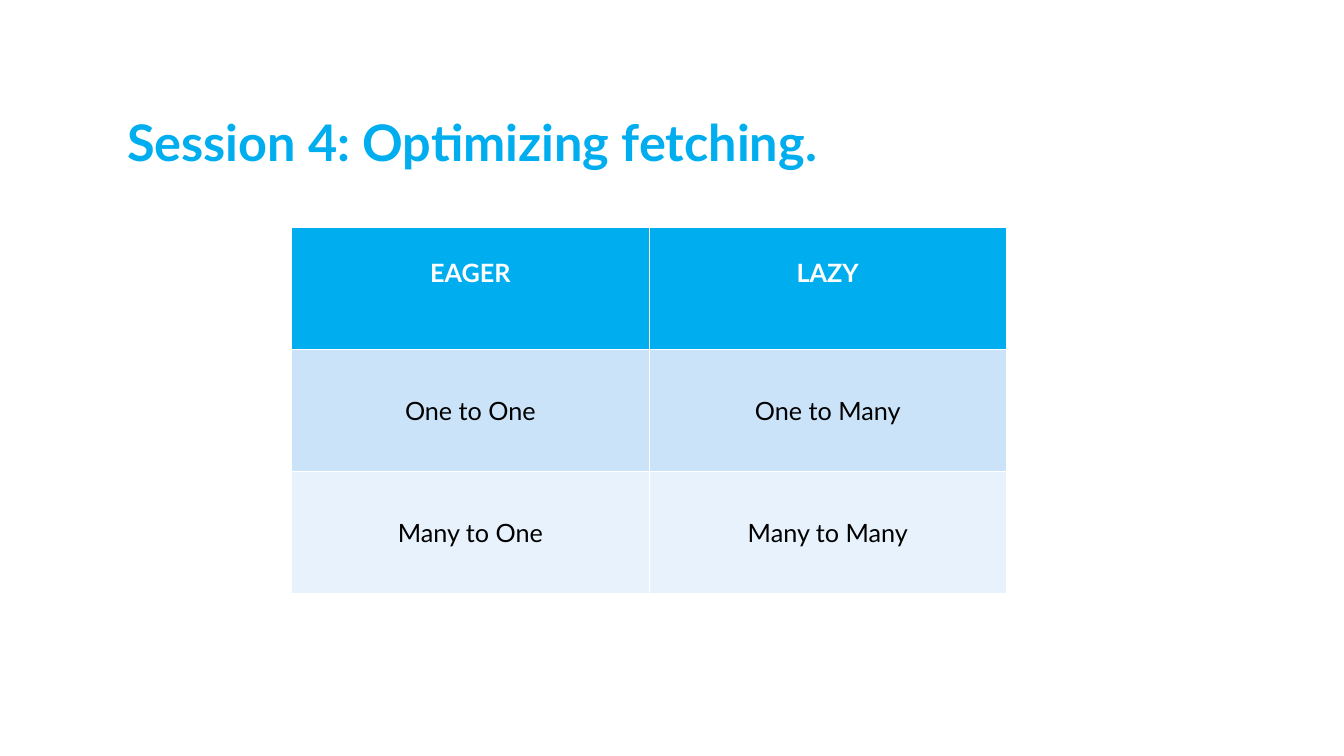
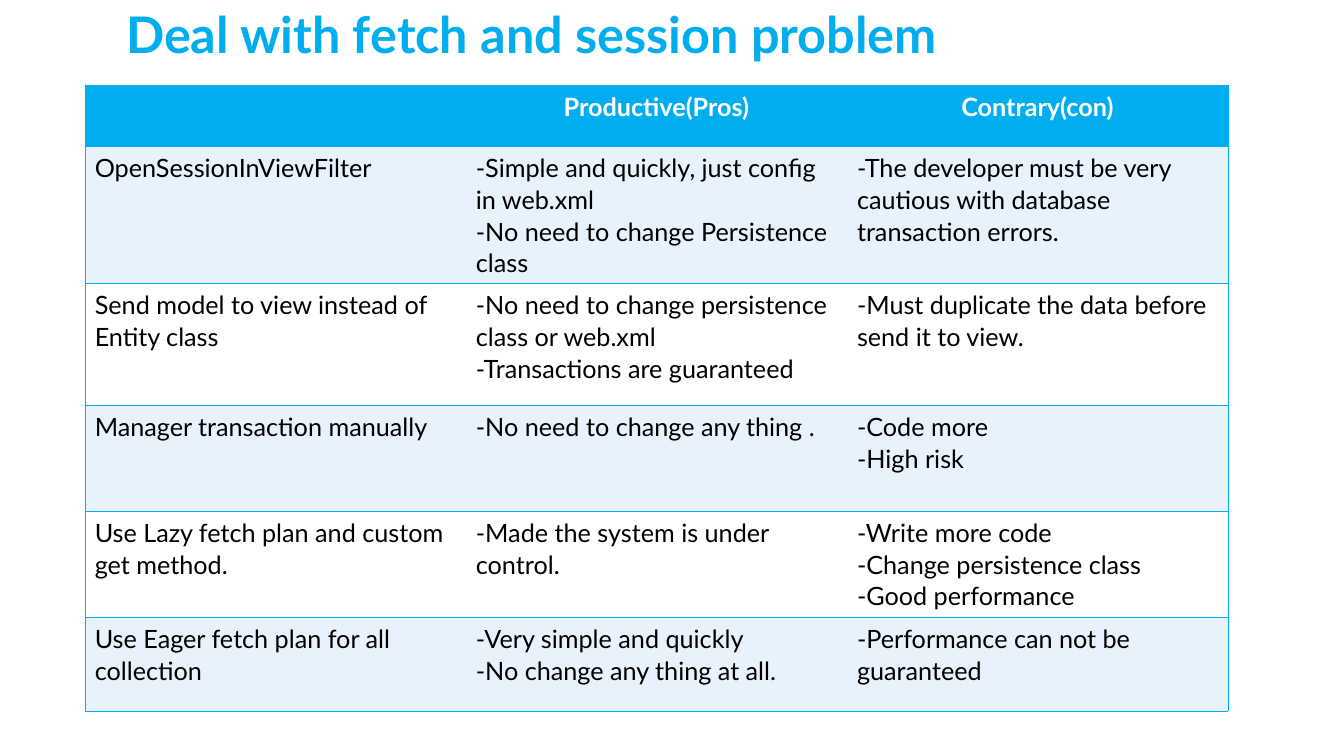
from lxml.etree import SubElement
from pptx import Presentation
from pptx.dml.color import RGBColor
from pptx.enum.text import MSO_ANCHOR, MSO_AUTO_SIZE, PP_ALIGN
from pptx.oxml.ns import qn
from pptx.util import Pt

PX = 9144  # EMU in one px, at 100 px to the inch
FONT = "Lato"
CYAN, SKY, MIST = "00AEEF", "CBE3F9", "E7F2FC"
WHITE, BLACK = "FFFFFF", "000000"
TITLE_ONLY = 5
HAIRLINE = Pt(0.11)

FETCH_TYPES = [
    ["EAGER", "LAZY"],
    ["One to One", "One to Many"],
    ["Many to One", "Many to Many"],
]
SOLUTIONS = [
    ["", "Productive(Pros)", "Contrary(con)"],
    ["OpenSessionInViewFilter",
     "-Simple and quickly, just config in web.xml\n-No need to change Persistence class",
     "-The developer must be very cautious with database transaction errors."],
    ["Send model to view instead of Entity class",
     "-No need to change persistence class or web.xml\n-Transactions are guaranteed",
     "-Must duplicate the data before send it to view."],
    ["Manager transaction manually",
     "-No need to change any thing .",
     "-Code more\n-High risk"],
    ["Use Lazy fetch plan and custom get method.",
     "-Made the system is under control.",
     "-Write more code\n-Change persistence class\n-Good performance"],
    ["Use Eager fetch plan for all collection",
     "-Very simple and quickly\n-No change any thing at all.",
     "-Performance can not be guaranteed"],
]


def px(length):
    return length * PX


def rgb(color):
    return RGBColor.from_string(color)


def add_run(paragraph, text, size, color, bold):
    run = paragraph.add_run()
    run.text = text
    font = run.font
    font.name, font.size, font.bold = FONT, Pt(size), bold
    font.color.rgb = rgb(color)


def add_titled_slide(prs, title, left, top, height):
    slide = prs.slides.add_slide(prs.slide_layouts[TITLE_ONLY])
    heading = slide.shapes.title
    heading.left, heading.top = px(left), px(top)
    heading.width, heading.height = px(950), px(height)
    frame = heading.text_frame
    frame.word_wrap = True
    frame.auto_size = MSO_AUTO_SIZE.NONE
    frame.vertical_anchor = MSO_ANCHOR.BOTTOM
    paragraph = frame.paragraphs[0]
    paragraph.alignment = PP_ALIGN.LEFT
    paragraph.line_spacing = 0.8
    add_run(paragraph, title, 36, CYAN, True)
    return slide


def set_borders(cell, color, sides):
    """Draw hairlines on the given sides (letters of LRTB) and none on the rest."""
    properties = cell._tc.get_or_add_tcPr()
    for side in "LRTB":
        line = SubElement(properties, qn(f"a:ln{side}"), w=str(HAIRLINE))
        if side in sides:
            fill = SubElement(line, qn("a:solidFill"))
            SubElement(fill, qn("a:srgbClr"), val=color)
        else:
            SubElement(line, qn("a:noFill"))


def write_cell(cell, text, color, bold, align, anchor):
    cell.vertical_anchor = anchor
    cell.margin_left = cell.margin_right = px(10)
    cell.margin_top = cell.margin_bottom = px(5)
    frame = cell.text_frame
    for index, line in enumerate(text.split("\n") if text else []):
        paragraph = frame.add_paragraph() if index else frame.paragraphs[0]
        paragraph.alignment = align
        paragraph.line_spacing = 1.05
        add_run(paragraph, line, 18, color, bold)


def add_grid(slide, rows, left, top, widths, heights, stripes, border,
             inner_verticals, align, anchor):
    """Add a table with a cyan header row and body rows in alternating stripes."""
    table = slide.shapes.add_table(
        len(rows), len(widths), px(left), px(top),
        px(sum(widths)), px(sum(heights))).table
    table.horz_banding = False
    for column, width in zip(table.columns, widths):
        column.width = px(width)
    for row, height in zip(table.rows, heights):
        row.height = px(height)
    last = len(widths) - 1
    for r, texts in enumerate(rows):
        header = r == 0
        for c, text in enumerate(texts):
            cell = table.cell(r, c)
            sides = "TB"
            if inner_verticals or c == 0:
                sides += "L"
            if inner_verticals or c == last:
                sides += "R"
            set_borders(cell, border, sides)
            cell.fill.solid()
            cell.fill.fore_color.rgb = rgb(
                CYAN if header else stripes[(r - 1) % len(stripes)])
            write_cell(cell, text, WHITE if header else BLACK, header,
                       PP_ALIGN.CENTER if header else align, anchor)
    return table


def add_fetch_types(prs):
    slide = add_titled_slide(prs, "Session 4: Optimizing fetching.", 116, 58, 117)
    table = add_grid(slide, FETCH_TYPES, 289, 225, [355, 354], [121] * 3,
                     [SKY, MIST], WHITE, True, PP_ALIGN.CENTER, MSO_ANCHOR.MIDDLE)
    for heading in table.rows[0].cells:
        heading.margin_bottom = px(37)  # lifts the headings above the middle


def add_solutions(prs):
    slide = add_titled_slide(prs, "Deal with fetch and session problem", 115, 0, 68)
    add_grid(slide, SOLUTIONS, 84, 84, [378] * 3, [61, 136, 121, 105, 105, 93],
             [MIST, WHITE], CYAN, False, PP_ALIGN.LEFT, MSO_ANCHOR.TOP)


def main():
    prs = Presentation()
    prs.slide_width, prs.slide_height = px(1333), px(750)
    add_fetch_types(prs)
    add_solutions(prs)
    prs.save("out.pptx")


if __name__ == "__main__":
    main()
